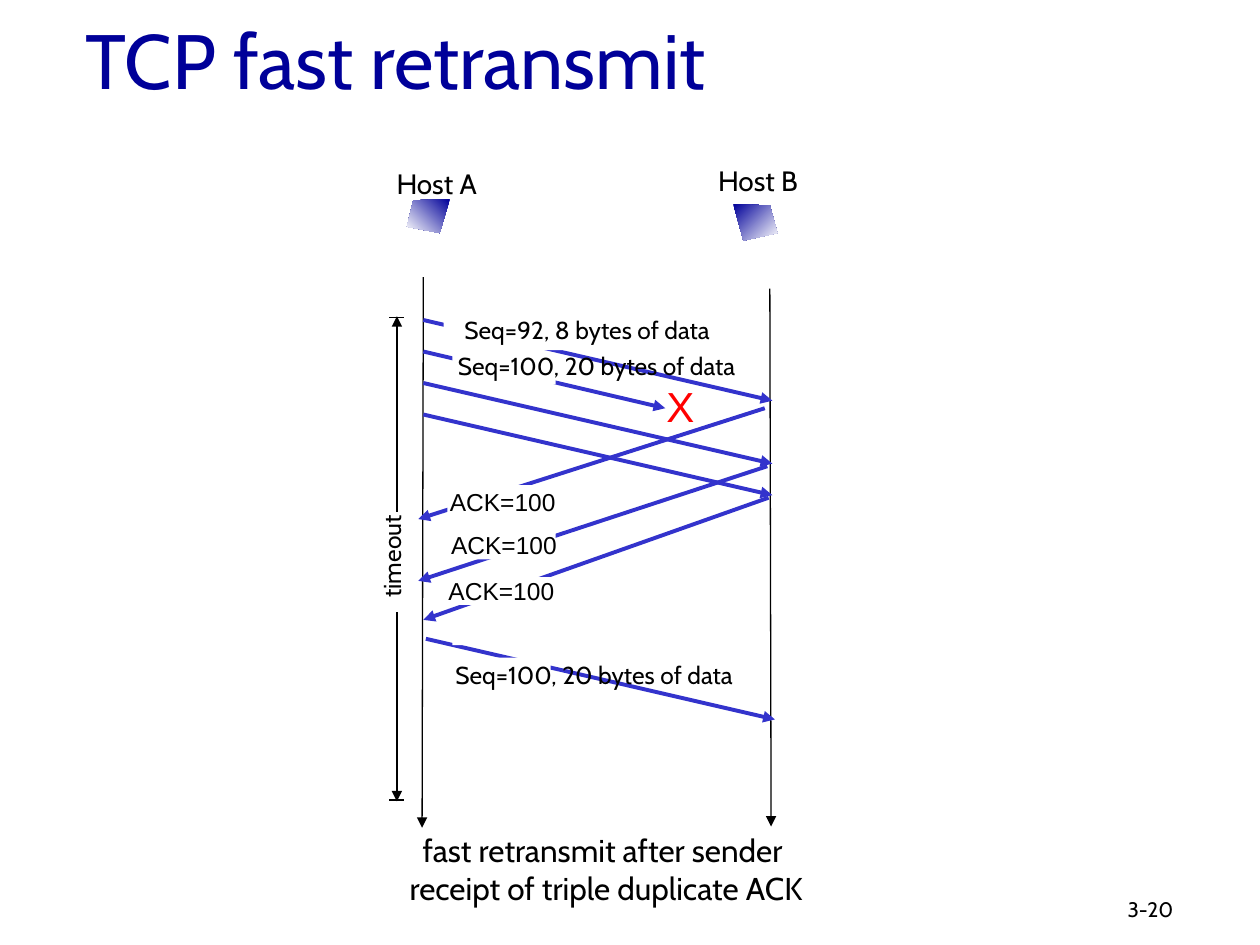
from dataclasses import dataclass
from typing import Optional

from lxml.etree import SubElement
from pptx import Presentation
from pptx.dml.color import RGBColor as Rgb
from pptx.enum.shapes import MSO_CONNECTOR as Conn, MSO_SHAPE as Form
from pptx.enum.text import MSO_ANCHOR as Anchor, PP_ALIGN as Align
from pptx.oxml.ns import qn
from pptx.util import Inches, Pt

# The slide is a grid of 10 columns by 7.5 rows
COLS, ROWS = 10, 7.5
CELL = Inches(1)
HUES = {"title": "000099", "msg": "3333CC", "ink": "000000",
        "loss": "FF0000", "paper": "FFFFFF"}


@dataclass
class Line:
    start: tuple
    end: tuple
    hue: str = "ink"
    width: float = 0.75
    arrow: bool = True


@dataclass
class Label:
    text: str
    box: tuple
    size: int = 14
    face: str = "Cabin"
    hue: str = "ink"
    align: Align = Align.CENTER
    anchor: Anchor = Anchor.TOP
    wrap: bool = False
    fill: Optional[str] = None
    upward: bool = False


deck = Presentation()
deck.slide_width, deck.slide_height = COLS * CELL, int(ROWS * CELL)
slide = deck.slides.add_slide(deck.slide_layouts[6])
shapes = slide.shapes


def grid(*cells: float) -> list:
    return [round(c * CELL) for c in cells]


def color(name: str) -> Rgb:
    return Rgb.from_string(HUES[name])


def draw_line(item: Line) -> None:
    link = shapes.add_connector(Conn.STRAIGHT, *grid(*item.start, *item.end))
    link.line.color.rgb = color(item.hue)
    link.line.width = Pt(item.width)
    props = link.element.spPr
    if item.arrow:
        SubElement(props.find(qn("a:ln")), qn("a:tailEnd"), type="triangle")
    SubElement(props, qn("a:effectLst"))


def draw_mask(box: tuple) -> None:
    mask = shapes.add_shape(Form.RECTANGLE, *grid(*box))
    mask.shadow.inherit = False
    mask.fill.solid()
    mask.fill.fore_color.rgb = color("paper")
    mask.line.fill.background()


def draw_label(item: Label) -> None:
    box = shapes.add_textbox(*grid(*item.box))
    if item.fill:
        box.fill.solid()
        box.fill.fore_color.rgb = color(item.fill)
    frame = box.text_frame
    frame.text = item.text
    frame.word_wrap = item.wrap
    frame.vertical_anchor = item.anchor
    if item.upward:
        box.rotation = 180
        box.element.txBody.bodyPr.set("vert", "eaVert")
    style = {"size": Pt(item.size), "name": item.face}
    for para in frame.paragraphs:
        para.alignment = item.align
        for run in para.runs:
            for key, value in style.items():
                setattr(run.font, key, value)
            run.font.color.rgb = color(item.hue)


def draw_host(points: list, angle: int) -> None:
    pen = shapes.build_freeform(*grid(*points[0]), scale=1.0)
    pen.add_line_segments([grid(*p) for p in points[1:]], close=True)
    host = pen.convert_to_shape()
    host.shadow.inherit = False
    host.line.fill.background()
    host.fill.gradient()
    host.fill.gradient_angle = angle
    for stop, hue, place in zip(host.fill.gradient_stops, ("title", "paper"), (0, 1)):
        stop.color.rgb = color(hue)
        stop.position = place


# Title and page number
draw_label(Label("TCP fast retransmit", (0.58, 0.05, 8.5, 0.83), 44, hue="title",
                 align=Align.LEFT, anchor=Anchor.MIDDLE, wrap=True))
draw_label(Label("3-20", (8.85, 7.07, 0.99, 0.3), 12, align=Align.LEFT, wrap=True))

# Time axes of both hosts
for start, end in [((3.36, 2.2), (3.35, 6.57)), ((6.11, 2.29), (6.12, 6.56))]:
    draw_line(Line(start, end))

# Segments sent by A: one leaves every quarter row, the second is lost
LEFT, RUN, DROP, FIRST, STEP = 3.36, 2.77, 0.64, 2.54, 0.25
sends = [((LEFT, FIRST + STEP * n), (LEFT + RUN, FIRST + STEP * n + DROP))
         for n in (0, 2, 3)]
sends += [((LEFT, FIRST + STEP), (5.28, 3.24)),
          ((3.38, 5.07), (3.38 + RUN, 5.07 + DROP))]
# Acknowledgements sent by B
acks = [((6.07, 3.24), (3.32, 4.12)), ((6.09, 3.7), (3.32, 4.61)),
        ((6.1, 3.95), (3.36, 4.92))]
for start, end in sends + acks:
    draw_line(Line(start, end, "msg", 2.25))

# Loss mark, host names and caption
draw_label(Label("X", (5.19, 2.97, 0.31, 0.5), 24, "Arial", "loss"))
draw_label(Label("fast retransmit after sender \nreceipt of triple duplicate ACK",
                 (3.07, 6.55, 3.48, 0.7), 18))
for name, x, y in [("Host A", 3.04, 1.27), ("Host B", 5.59, 1.25)]:
    draw_label(Label(name, (x, y, 0.85, 0.37), 16))

# Timeout span: arrows away from the word, each ending at a bar
draw_label(Label("timeout", (2.94, 4.09, 0.43, 0.75), upward=True))
for near, far, bar in [(4.06, 2.51, 2.52), (4.86, 6.36, 6.35)]:
    draw_line(Line((3.15, near), (3.15, far)))
    draw_line(Line((3.09, bar), (3.21, bar), arrow=False))

# White patches behind the message labels
draw_label(Label("Seq=92, 8 bytes of data", (3.52, 2.45, 2.28, 0.33), fill="paper"))
for x, y, high in [(3.55, 3.85, 0.27), (3.59, 4.22, 0.22), (3.58, 4.58, 0.22),
                   (3.59, 4.9, 0.22), (3.59, 2.8, 0.25), (3.55, 5.22, 0.25)]:
    draw_mask((x, y, 0.82, high))

# Message labels
for x, y in [(3.47, 3.82), (3.48, 4.16), (3.46, 4.52)]:
    draw_label(Label("ACK=100", (x, y, 1.04, 0.33), face="Arial"))
for x, y in [(3.49, 2.74), (3.47, 5.19)]:
    draw_label(Label("Seq=100, 20 bytes of data", (x, y, 2.49, 0.33)))

# Host screens
draw_host([(3.57, 1.58), (3.28, 1.59), (3.23, 1.8), (3.49, 1.85)], 225)
draw_host([(5.82, 1.62), (6.11, 1.63), (6.17, 1.85), (5.9, 1.91)], 315)

deck.save("out.pptx")
